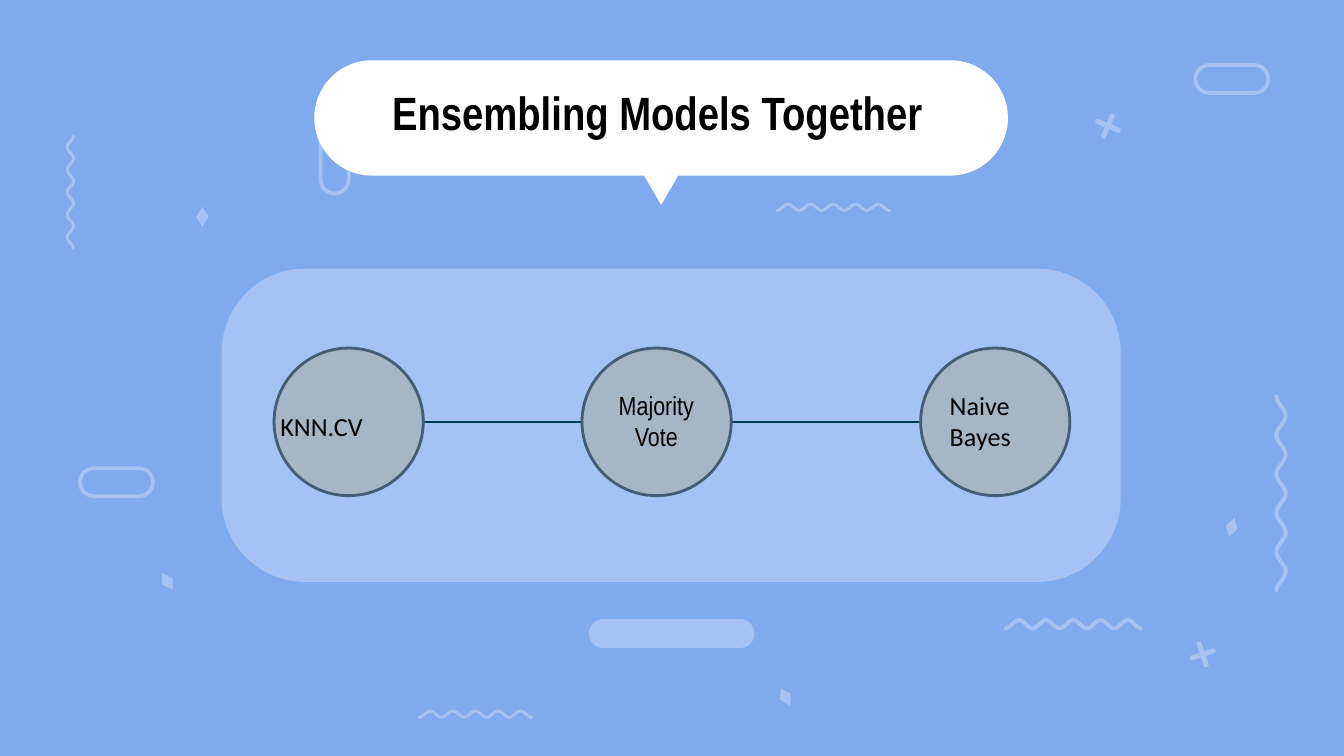
from math import cos, pi, radians, sin

from lxml.etree import SubElement
from pptx import Presentation
from pptx.dml.color import RGBColor
from pptx.enum.shapes import MSO_CONNECTOR, MSO_SHAPE as Preset
from pptx.enum.text import MSO_ANCHOR as Anchor, MSO_AUTO_SIZE as AutoSize, PP_ALIGN as Align
from pptx.oxml.ns import qn
from pptx.util import Cm, Pt

COLORS = {
    "background": "7FAAED", "pattern": "A4C2F4", "bubble": "FFFFFF", "text": "000000",
    "circle": "A5B7C6", "circle_edge": "435D74", "link": "003A55",
}

TITLE = "Ensembling Models Together"
TITLE_BOX = (7.01, 1.32, 10.82, 1.57)
TITLE_FORMAT = {"name": "Arial Narrow", "size": Pt(25), "bold": True}

# All places and sizes below are in centimetres.
CIRCLE_TOP, CIRCLE_WIDTH, CIRCLE_HEIGHT = 6.58, 2.82, 2.79
LINK_Y = CIRCLE_TOP + CIRCLE_HEIGHT / 2
# circle left, lines, text box, font, alignment, anchor
MODELS = [
    (5.18, ["KNN.CV"], (5.05, 6.91, 3.28, 1.7), "Calibri", Align.LEFT, Anchor.BOTTOM),
    (11.0, ["Majority", "Vote"], (11.07, 7.11, 2.67, 1.7), "Arial Narrow", Align.CENTER, Anchor.TOP),
    (17.4, ["Naive", "Bayes"], (17.7, 7.11, 2.11, 1.7), "Calibri", Align.LEFT, Anchor.TOP),
]

PANEL = (4.19, 5.08, 16.99, 5.92)
BUBBLE = (5.94, 1.14, 13.11, 2.18)
BUBBLE_TIP = (12.09, 3.18, 0.81, 0.69)

SOLID_PILL = (11.13, 11.7, 3.13, 0.55)
OUTLINE_PILLS = [(22.59, 1.23, 1.38, 0.53), (1.51, 8.85, 1.38, 0.53), (6.06, 2.26, 0.53, 1.4)]
DIAMOND_SIZE = (0.23, 0.38)
DIAMONDS = [(3.71, 3.91, 0), (3.05, 10.8, -34), (14.73, 12.98, -27.5), (23.16, 9.78, 17)]
CROSS_ARM = 0.21
CROSSES = [(22.73, 12.37, -18), (20.94, 2.38, 23)]
# start x, start y, length, amplitude (signed), line width, upright
WAVES = [
    (24.21, 7.49, 3.68, -0.09, 2.1, True),
    (19.0, 11.8, 2.57, 0.08, 2.1, False),
    (7.92, 13.5, 2.13, 0.06, 1.6, False),
    (1.33, 2.57, 2.13, 0.06, 1.6, True),
    (14.68, 3.92, 2.13, 0.06, 1.6, False),
]
WAVE_PERIODS, WAVE_STEPS = 5, 60


def color(name):
    return RGBColor.from_string(COLORS[name])


def paint(shape, fill=None, line=None, width=1):
    shape.shadow.inherit = False
    if fill:
        shape.fill.solid()
        shape.fill.fore_color.rgb = color(fill)
    else:
        shape.fill.background()
    if line:
        shape.line.color.rgb = color(line)
        shape.line.width = Pt(width)
    else:
        shape.line.fill.background()


def add_preset(slide, preset, box, rounding=None, rotation=0, **style):
    shape = slide.shapes.add_shape(preset, *map(Cm, box))
    if rounding is not None:
        shape.adjustments[0] = rounding
    shape.rotation = rotation
    paint(shape, **style)
    return shape


def add_stroke(slide, points, width):
    """Draw an open, round-ended line through points."""
    points = [(Cm(x), Cm(y)) for x, y in points]
    builder = slide.shapes.build_freeform(*points[0])
    builder.add_line_segments(points[1:], close=False)
    shape = builder.convert_to_shape()
    paint(shape, line="pattern", width=width)
    shape.line._get_or_add_ln().set("cap", "rnd")


def add_wave(slide, x, y, length, amplitude, width, upright):
    points = []
    for step in range(WAVE_STEPS + 1):
        part = step / WAVE_STEPS
        along, across = length * part, amplitude * cos(2 * pi * WAVE_PERIODS * part)
        points.append((x + across, y + along) if upright else (x + along, y + across))
    add_stroke(slide, points, width)


def add_cross(slide, x, y, angle):
    for turn in (angle, angle + 90):
        dx, dy = CROSS_ARM * cos(radians(turn)), CROSS_ARM * sin(radians(turn))
        add_stroke(slide, [(x - dx, y - dy), (x + dx, y + dy)], 2.75)


def write(shape, lines, font, align, anchor):
    frame = shape.text_frame
    frame_format = {"word_wrap": True, "auto_size": AutoSize.NONE, "vertical_anchor": anchor}
    frame_format.update({f"margin_{side}": Cm(0.25) for side in ("left", "top", "right", "bottom")})
    for name, value in frame_format.items():
        setattr(frame, name, value)
    frame.text = "\n".join(lines)
    for paragraph in frame.paragraphs:
        paragraph.alignment = align
        for name, value in font.items():
            setattr(paragraph.runs[0].font, name, value)
        paragraph.runs[0].font.color.rgb = color("text")


def add_pattern(slide):
    for wave in WAVES:
        add_wave(slide, *wave)
    for cross in CROSSES:
        add_cross(slide, *cross)
    for x, y, angle in DIAMONDS:
        add_preset(slide, Preset.DIAMOND, (x, y, *DIAMOND_SIZE), rotation=angle, fill="pattern")
    for pill in OUTLINE_PILLS:
        add_preset(slide, Preset.ROUNDED_RECTANGLE, pill, 0.5, line="pattern", width=2)
    add_preset(slide, Preset.ROUNDED_RECTANGLE, SOLID_PILL, 0.5, fill="pattern")
    add_preset(slide, Preset.ROUNDED_RECTANGLE, PANEL, 0.266, fill="pattern")


def add_title(slide):
    add_preset(slide, Preset.ROUNDED_RECTANGLE, BUBBLE, 0.5, fill="bubble")
    add_preset(slide, Preset.ISOSCELES_TRIANGLE, BUBBLE_TIP, rotation=180, fill="bubble")
    title = slide.shapes.title
    for name, value in zip(("left", "top", "width", "height"), TITLE_BOX):
        setattr(title, name, Cm(value))
    write(title, [TITLE], TITLE_FORMAT, Align.CENTER, Anchor.MIDDLE)
    title.element.getparent().append(title.element)  # in front of the bubble


def add_models(slide):
    start, end = MODELS[0][0] + CIRCLE_WIDTH / 2, MODELS[-1][0]
    link = slide.shapes.add_connector(
        MSO_CONNECTOR.STRAIGHT, Cm(start), Cm(LINK_Y), Cm(end), Cm(LINK_Y))
    link.line.color.rgb = color("link")
    link.line.width = Pt(0.75)
    SubElement(link.element.spPr, qn("a:effectLst"))
    for left, lines, box, font, align, anchor in MODELS:
        circle = (left, CIRCLE_TOP, CIRCLE_WIDTH, CIRCLE_HEIGHT)
        add_preset(slide, Preset.OVAL, circle, fill="circle", line="circle_edge", width=1.5)
        label = slide.shapes.add_textbox(*map(Cm, box))
        write(label, lines, {"name": font, "size": Pt(14)}, align, anchor)


def main():
    presentation = Presentation()
    presentation.slide_width, presentation.slide_height = Cm(25.4), Cm(14.29)
    slide = presentation.slides.add_slide(presentation.slide_layouts[5])
    slide.background.fill.solid()
    slide.background.fill.fore_color.rgb = color("background")
    add_pattern(slide)
    add_title(slide)
    add_models(slide)
    presentation.save("out.pptx")


if __name__ == "__main__":
    main()
